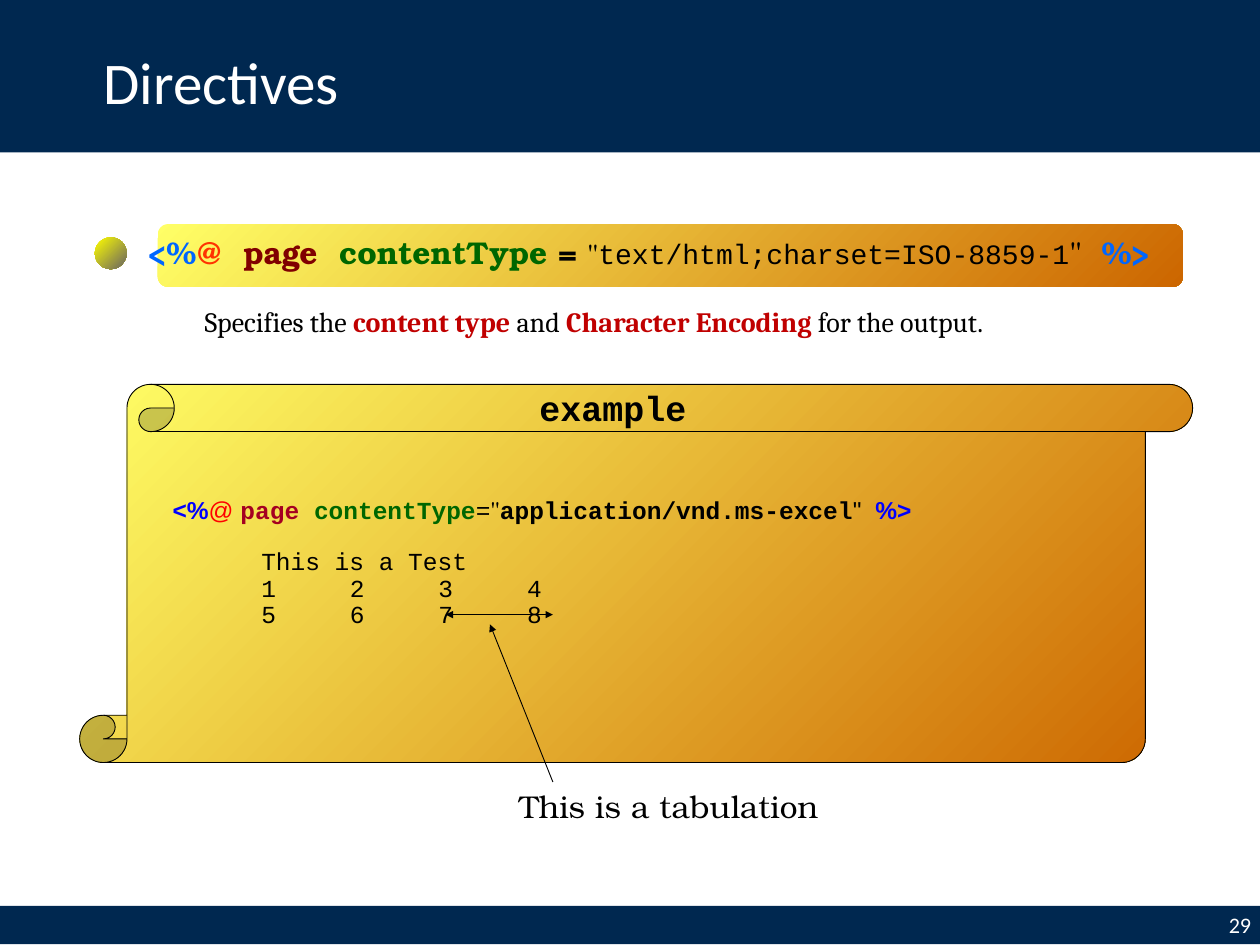
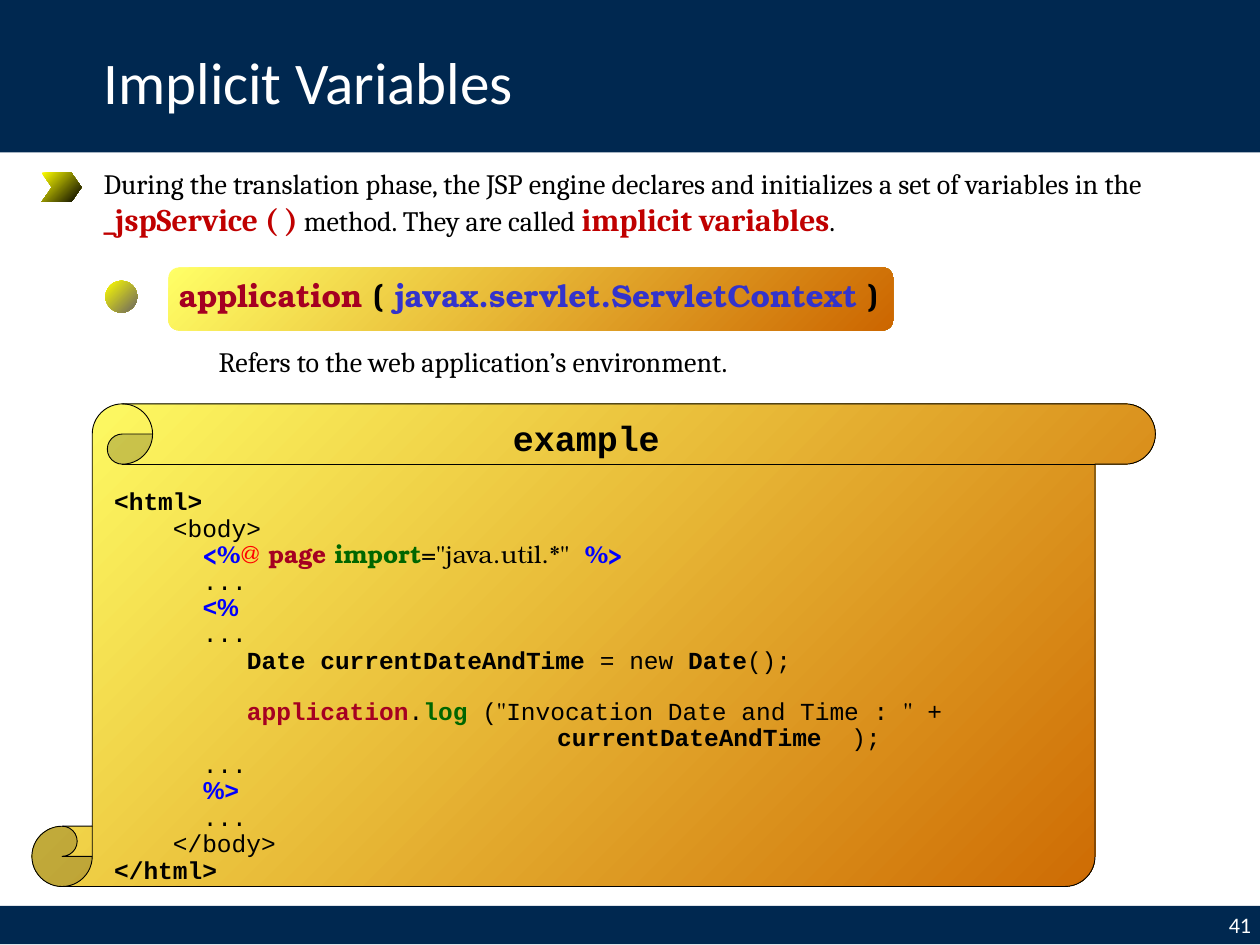
from lxml import etree
from pptx import Presentation
from pptx import util as u
from pptx.dml.color import RGBColor
from pptx.enum import shapes, text
from pptx.oxml.ns import qn

PX = 9144
INK = {
    "navy": "002850", "white": "FFFFFF", "black": "000000", "gold": "FFFF66",
    "rust": "CC6600", "yellow": "FFFF00", "gray": "696464", "crimson": "C00000",
    "sky": "0066FF", "orange": "FF3300", "maroon": "800000", "green": "006600",
    "wine": "A50021", "blue": "0000FF", "red": "FF0000", "indigo": "3333CC",
}
SERIF, MONO, BOOK, SANS, HEAD = (
    "Cambria", "Courier New", "TeX Gyre Bonum", "Arial", "Calibri")
KIND = shapes.MSO_SHAPE
BODY = dict(font=SERIF, size=22.8)
CODE = dict(font=MONO, size=19.9)
TERM = dict(font=BOOK, size=25.6)


def fmt(words, **form):
    return words, form


def bold(words, ink="black", **form):
    return fmt(words, ink=ink, bold=True, **form)


def rgb(name):
    return RGBColor.from_string(INK[name])


class Deck:
    """Holds the shared style and the current slide."""

    def __init__(self, wide, high):
        self.prs = Presentation()
        self.prs.slide_width, self.prs.slide_height = wide * PX, high * PX
        self.wide = wide

    def page(self, title, num):
        self.slide = self.prs.slides.add_slide(self.prs.slide_layouts[6])
        self.shape(KIND.RECTANGLE, (0, 0, self.wide, 172), "navy")
        foot = self.shape(KIND.RECTANGLE, (-1, 1023, self.wide + 1, 43), "navy")
        self.words(foot, [[fmt(str(num))]], mid=True, align=text.PP_ALIGN.RIGHT,
                   font=HEAD, size=18, ink="white")
        self.label((107, 17, 1209, 158), [[fmt(title)]], mid=True, space=0.9,
                   font=HEAD, size=48, ink="white")

    def shape(self, kind, box, *inks, adj=None, edge=False):
        item = self.slide.shapes.add_shape(kind, *[n * PX for n in box])
        item.shadow.inherit = False
        if adj is not None:
            item.adjustments[0] = adj
        if len(inks) == 1:
            item.fill.solid()
            item.fill.fore_color.rgb = rgb(inks[0])
        else:
            item.fill.gradient()
            item.fill.gradient_angle = 315
            for stop, ink in zip(item.fill.gradient_stops, inks):
                stop.color.rgb = rgb(ink)
        if edge:
            item.line.color.rgb = rgb("black")
            item.line.width = u.Pt(0.75)
        else:
            item.line.fill.background()
        return item

    def words(self, item, rows, mid=False, align=text.PP_ALIGN.LEFT,
              space=None, tabs=0, gaps=(), **base):
        frame = item.text_frame
        frame.word_wrap = True
        frame.vertical_anchor = (
            text.MSO_ANCHOR.MIDDLE if mid else text.MSO_ANCHOR.TOP)
        for i, row in enumerate(rows):
            para = frame.add_paragraph() if i else frame.paragraphs[0]
            para.alignment = align
            if tabs:
                stops = etree.SubElement(
                    para._p.get_or_add_pPr(), qn("a:tabLst"))
                for n in range(1, tabs + 1):
                    etree.SubElement(stops, qn("a:tab"),
                                     pos=str(n * 100 * PX), algn="l")
            if space:
                para.line_spacing = space
            if i in gaps:
                para.space_before = u.Pt(20)
            for part, form in row:
                form = {"ink": "black", "bold": False, **base, **form}
                run = para.add_run()
                run.text = part
                run.font.name = form["font"]
                run.font.size = u.Pt(form["size"])
                run.font.bold = form["bold"]
                run.font.color.rgb = rgb(form["ink"])

    def label(self, box, rows, **form):
        item = self.slide.shapes.add_textbox(*[n * PX for n in box])
        self.words(item, rows, **form)

    def term(self, ball, bar, box, row):
        self.shape(KIND.ROUNDED_RECTANGLE, bar, "gold", "rust", adj=0.167)
        self.shape(KIND.OVAL, (*ball, 36, 36), "yellow", "gray")
        self.label(box, [row], **TERM)

    def scroll(self, box, head, area, rows, gaps):
        self.shape(KIND.VERTICAL_SCROLL, box, "gold", "rust", adj=0.125, edge=True)
        self.label((*head, 249, 58), [[bold("example")]], font=MONO, size=28.4)
        self.label(area, rows, space=0.9, tabs=5, gaps=gaps, **CODE)

    def arrow(self, start, end, *tips):
        line = self.slide.shapes.add_connector(
            shapes.MSO_CONNECTOR.STRAIGHT, *[n * PX for n in (*start, *end)])
        line.line.color.rgb = rgb("black")
        line.line.width = u.Pt(0.75)
        pen = line.line._get_or_add_ln()
        for tip in tips:
            etree.SubElement(pen, qn("a:" + tip), type="triangle")
        etree.SubElement(line._element.spPr, qn("a:effectLst"))


def direct(deck):
    deck.page("Directives", 29)
    deck.label((221, 339, 1102, 48), [[
        fmt("Specifies the "), bold("content type ", "crimson"), fmt("and "),
        bold("Character Encoding ", "crimson"), fmt("for the output.")]], **BODY)
    deck.term((107, 268), (178, 253, 1157, 71), (157, 258, 1159, 53), [
        bold("<%", "sky"), bold("@  ", "orange"), bold("page  ", "maroon"),
        bold("contentType ", "green"), bold("= "), fmt('"', size=22.8),
        fmt("text/html;charset=ISO-8859-1", font=MONO, size=22.8),
        fmt('"  '), bold("%>", "sky")])
    deck.scroll((90, 434, 1256, 427), (599, 432), (185, 558, 1068, 208), [
        [bold("<%", "blue", font=SANS), fmt("@ ", ink="red", font=SANS),
         bold("page ", "wine"), bold("contentType", "green"), fmt("="),
         fmt('"', font=BOOK), bold("application/vnd.ms-excel"),
         fmt('"  ', font=SANS), bold("%>", "blue", font=SANS)],
        [fmt("\tThis is a Test")],
        [fmt("\t1\t2\t3\t4")],
        [fmt("\t5\t6\t7\t8")]], gaps=[1])
    deck.arrow((503, 694), (624, 694), "headEnd", "tailEnd")
    deck.label((576, 884, 367, 53), [[fmt("This is a tabulation")]], **TERM)
    deck.arrow((624, 883), (553, 705), "tailEnd")


def implied(deck):
    deck.page("Implicit Variables", 41)
    deck.label((107, 183, 1209, 91), [[
        fmt("During the translation phase, the JSP engine declares and "
            "initializes a set of variables in the "),
        bold("_jspService ( )", "crimson", size=25.6),
        fmt(" method. They are called "),
        bold("implicit variables", "crimson", size=25.6), fmt(".")]], **BODY)
    deck.shape(KIND.CHEVRON, (47, 195, 45, 33), "yellow", "black", adj=0.348)
    deck.term((119, 317), (190, 302, 818, 71), (192, 307, 1171, 53), [
        bold("application ", "wine"), bold("( "),
        bold("javax.servlet.ServletContext ", "indigo"), bold(")")])
    deck.label((237, 384, 889, 48),
               [[fmt("Refers to the web application’s environment.")]], **BODY)
    dots = [fmt("\t...")]
    deck.scroll((36, 456, 1268, 545), (569, 466), (119, 548, 1114, 439), [
        [bold("<html>")],
        [fmt("    <body>")],
        [fmt("\t"), bold("<%", "blue", font=BOOK),
         fmt("@ ", ink="red", font=BOOK), bold("page ", "wine", font=BOOK),
         bold("import", "green", font=BOOK),
         fmt('="java.util.*"  ', font=BOOK), bold("%>", "blue", font=BOOK)],
        dots,
        [fmt("\t"), bold("<%", "blue", font=SANS)],
        dots,
        [fmt("\t   "), bold("Date currentDateAndTime"), fmt(" = new "),
         bold("Date"), fmt("();")],
        [fmt("\t   "), bold("application", "wine"), fmt("."),
         bold("log", "green"), fmt(" ("), fmt('"', font=BOOK),
         fmt("Invocation Date and Time : "), fmt('"', font=BOOK), fmt(" +")],
        [fmt("\t\t\t\t\t"), bold("currentDateAndTime"), fmt("  );")],
        dots,
        [fmt("\t"), bold("%>", "blue", font=SANS)],
        dots,
        [fmt("    </body>")],
        [bold("</html>")]], gaps=[7])


def main():
    deck = Deck(1422, 1067)
    direct(deck)
    implied(deck)
    deck.prs.save("out.pptx")


if __name__ == "__main__":
    main()
